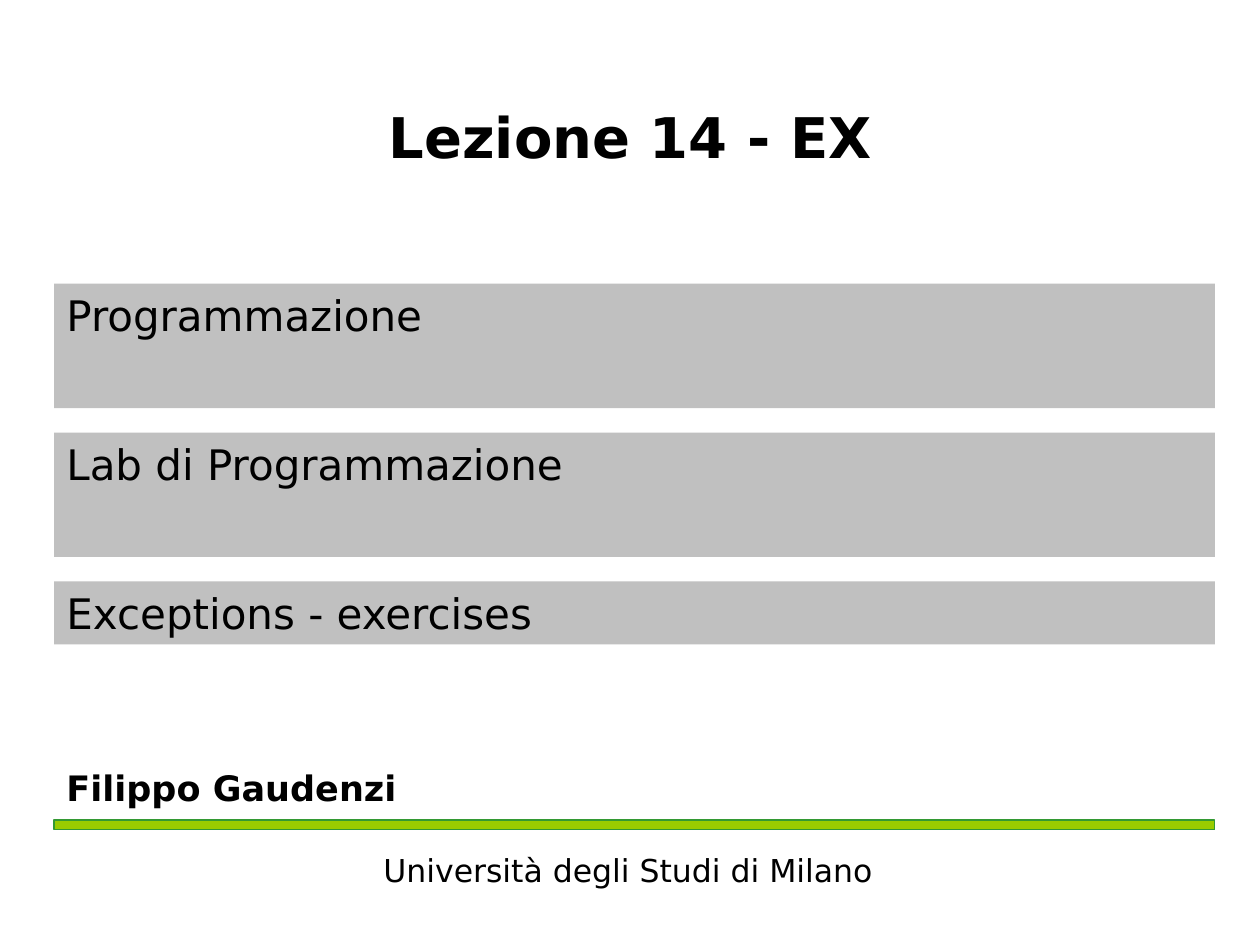
import pptx
import pptx.util
import pptx.dml.color
import pptx.enum.shapes
import pptx.enum.text
from dataclasses import dataclass

Cm, Pt = pptx.util.Cm, pptx.util.Pt
Color = pptx.dml.color.RGBColor.from_string
ALIGN = pptx.enum.text.PP_ALIGN
ANCHOR = pptx.enum.text.MSO_ANCHOR

# Content
TITLE = "Lezione 14 - EX"
BARS = [("Programmazione", 2.51), ("Lab di Programmazione", 2.51),
        ("Exceptions - exercises", 1.27)]  # text, height in cm
AUTHOR = "Filippo Gaudenzi"
UNIVERSITY = "Università degli Studi di Milano"


@dataclass
class Theme:
    font: str = "DejaVu Sans"
    text: str = "000000"
    bar: str = "C0C0C0"
    rule: str = "99CC00"
    rule_line: str = "339933"
    title: int = 32
    body: int = 24
    author: int = 20
    footer: int = 18


theme = Theme()
LEFT, WIDTH = 1.09, 23.4
BARS_TOP, BAR_GAP = 5.72, 0.49

deck = pptx.Presentation()
deck.slide_width, deck.slide_height = Cm(25.4), Cm(19.05)
page = deck.slides.add_slide(deck.slide_layouts[6])


def write(box, text, size, bold=False, align=ALIGN.LEFT,
          anchor=ANCHOR.TOP, wrap=True, before=0.1):
    frame = box.text_frame
    frame.word_wrap = wrap
    frame.vertical_anchor = anchor
    para = frame.paragraphs[0]
    para.alignment = align
    para.space_before = Pt(size * before)
    span = para.add_run()
    span.text = text
    span.font.name = theme.font
    span.font.size = Pt(size)
    span.font.bold = bold
    span.font.color.rgb = Color(theme.text)


def add_text(left, top, width, height, *words, **style):
    box = page.shapes.add_textbox(Cm(left), Cm(top), Cm(width), Cm(height))
    write(box, *words, **style)


def add_bar(top, height, fill, line=None):
    bar = page.shapes.add_shape(pptx.enum.shapes.MSO_SHAPE.RECTANGLE,
                                Cm(LEFT), Cm(top), Cm(WIDTH), Cm(height))
    bar.shadow.inherit = False
    bar.fill.solid()
    bar.fill.fore_color.rgb = Color(fill)
    if line:
        bar.line.color.rgb = Color(line)
        bar.line.width = Pt(0.75)
    else:
        bar.line.fill.background()
    return bar


# Title
add_text(0.99, 1.96, 23.44, 1.55, TITLE, theme.title, bold=True,
         align=ALIGN.CENTER, anchor=ANCHOR.MIDDLE, before=0)

# Course bars, stacked with equal gaps
top = BARS_TOP
for text, height in BARS:
    write(add_bar(top, height, theme.bar), text, theme.body)
    top += height + BAR_GAP

# Author, university and rule
add_text(LEFT, 15.32, WIDTH, 1.09, AUTHOR, theme.author, bold=True)
add_text(7.42, 17.04, 10.49, 1.02, UNIVERSITY, theme.footer,
         align=ALIGN.CENTER, wrap=False)
add_bar(16.53, 0.2, theme.rule, theme.rule_line)

deck.save("out.pptx")
